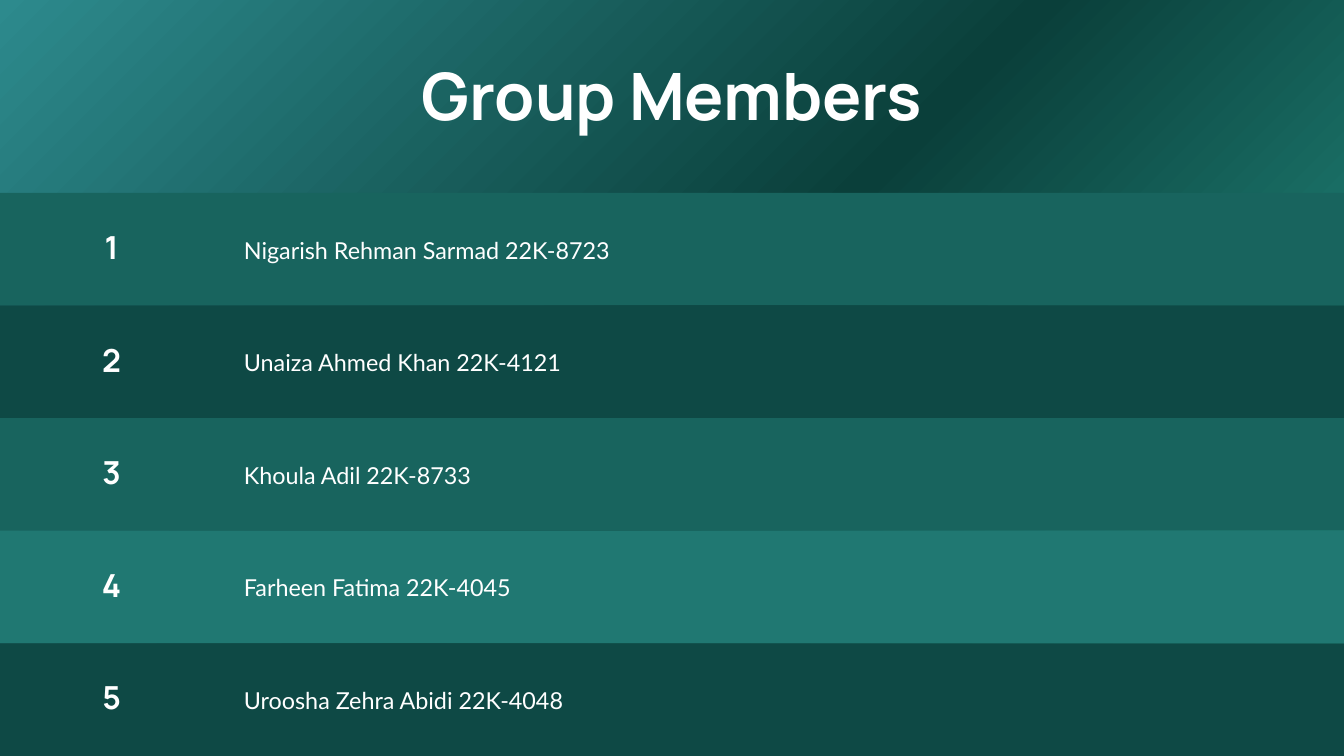
from pptx import Presentation
from pptx.dml.color import RGBColor
from pptx.enum.shapes import MSO_SHAPE
from pptx.enum.text import MSO_AUTO_SIZE, PP_ALIGN
from pptx.oxml import parse_xml
from pptx.oxml.ns import nsdecls
from pptx.util import Pt

RECTANGLE = MSO_SHAPE.RECTANGLE
GROW = MSO_AUTO_SIZE.SHAPE_TO_FIT_TEXT
LEFT, CENTER = PP_ALIGN.LEFT, PP_ALIGN.CENTER

WIDTH, HEIGHT = 1440, 810
ROWS_TOP = 206.6
COLORS = {
    "white": "FFFFFF",
    "medium": "18645E",
    "dark": "0E4945",
    "light": "207872",
    "gradient_start": "2D8A8D",
    "gradient_middle": "0A3F3A",
    "gradient_end": "2BA697",
}
MEMBERS = [
    ("Nigarish Rehman Sarmad 22K-8723", "medium"),
    ("Unaiza Ahmed Khan 22K-4121", "dark"),
    ("Khoula Adil 22K-8733", "medium"),
    ("Farheen Fatima 22K-4045", "light"),
    ("Uroosha Zehra Abidi 22K-4048", "dark"),
]


def set_background(slide):
    """Fill the slide with a three-stop gradient from the top left corner."""
    stops = "".join(
        f'<a:gs pos="{position * 1000}"><a:srgbClr val="{COLORS[name]}"/></a:gs>'
        for position, name in [(0, "gradient_start"), (50, "gradient_middle"), (100, "gradient_end")]
    )
    background = parse_xml(
        f'<p:bg {nsdecls("p", "a")}><p:bgPr><a:gradFill rotWithShape="1"><a:gsLst>{stops}</a:gsLst>'
        '<a:path path="circle"><a:fillToRect l="0" t="0" r="100000" b="100000"/></a:path>'
        "</a:gradFill><a:effectLst/></p:bgPr></p:bg>"
    )
    slide.element.cSld.insert(0, background)


def add_band(slide, top, height, color):
    """Add a full-width coloured band."""
    shape = slide.shapes.add_shape(RECTANGLE, Pt(0), Pt(top), Pt(WIDTH), Pt(height))
    shape.shadow.inherit = False
    shape.fill.solid()
    shape.fill.fore_color.rgb = RGBColor.from_string(COLORS[color])
    shape.line.fill.background()


def add_text(slide, box, text, font, size, spacing, alignment=LEFT, bold=False):
    """Add one line of white text in a box without margins."""
    shape = slide.shapes.add_textbox(*map(Pt, box))
    frame = shape.text_frame
    frame.word_wrap = True
    frame.auto_size = GROW
    frame.margin_left = frame.margin_top = frame.margin_right = frame.margin_bottom = 0
    paragraph = frame.paragraphs[0]
    paragraph.alignment = alignment
    paragraph.line_spacing = Pt(spacing)
    run = paragraph.add_run()
    run.text = text
    run.font.name = font
    run.font.size = Pt(size)
    run.font.bold = bold
    run.font.color.rgb = RGBColor.from_string(COLORS["white"])


def add_member(slide, number, name, top, height, color):
    """Add the band, name and number of one group member."""
    add_band(slide, top, height, color)
    add_text(slide, (261.4, top + 41, 905, 33.8), name, "Lato", 25, 35)
    add_text(slide, (100.8, top + 37.4, 37.4, 43.2), str(number), "Manrope", 34, 40.8, CENTER, True)


def main():
    """Build the group members slide and save it."""
    presentation = Presentation()
    presentation.slide_width, presentation.slide_height = Pt(WIDTH), Pt(HEIGHT)
    slide = presentation.slides.add_slide(presentation.slide_layouts[6])
    set_background(slide)
    add_text(slide, (80.6, 59, 1278, 87.8), "Group Members", "Manrope", 70, 84, CENTER, True)
    row_height = (HEIGHT - ROWS_TOP) / len(MEMBERS)
    for index, (name, color) in enumerate(MEMBERS):
        add_member(slide, index + 1, name, ROWS_TOP + index * row_height, row_height, color)
    presentation.save("out.pptx")


if __name__ == "__main__":
    main()
